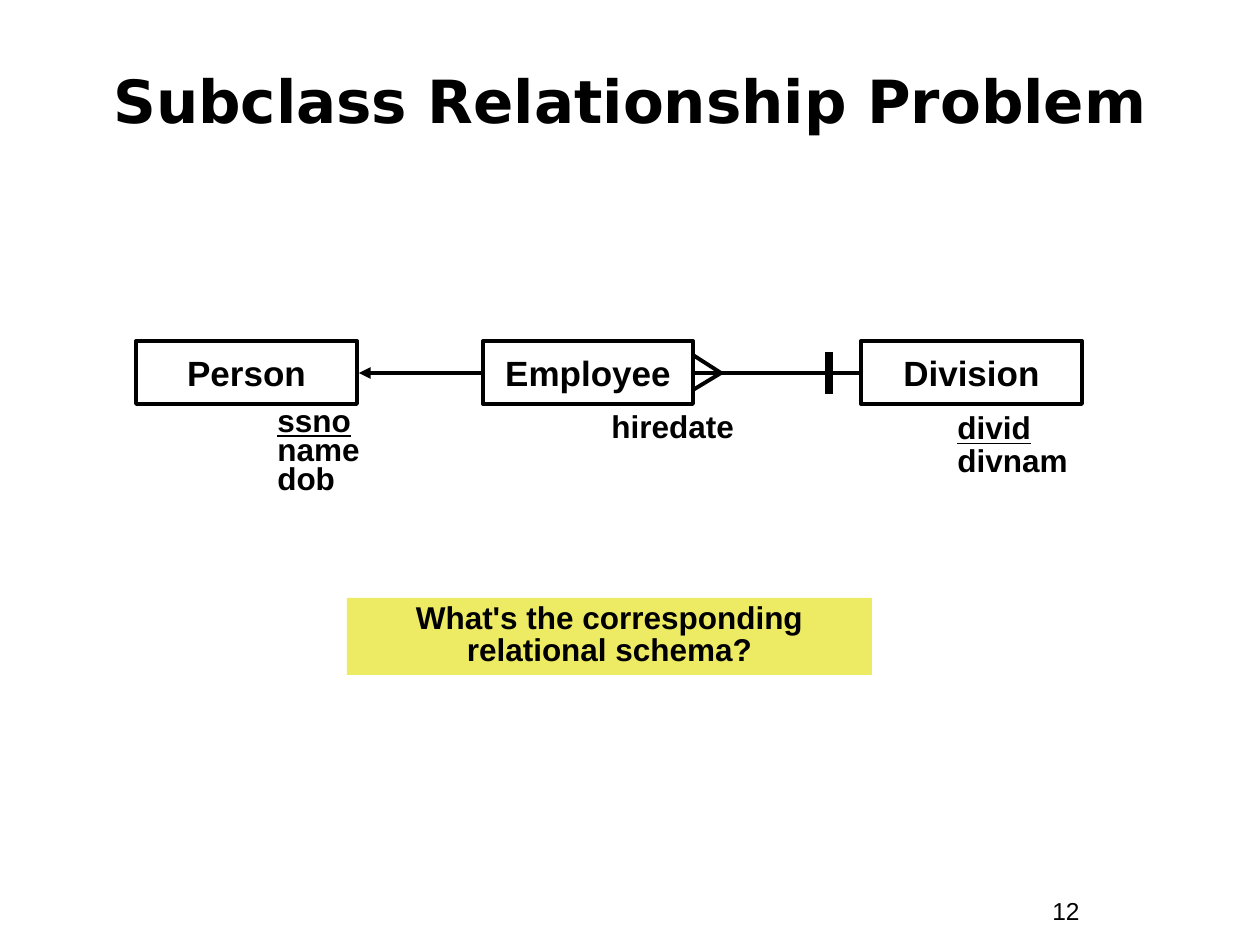
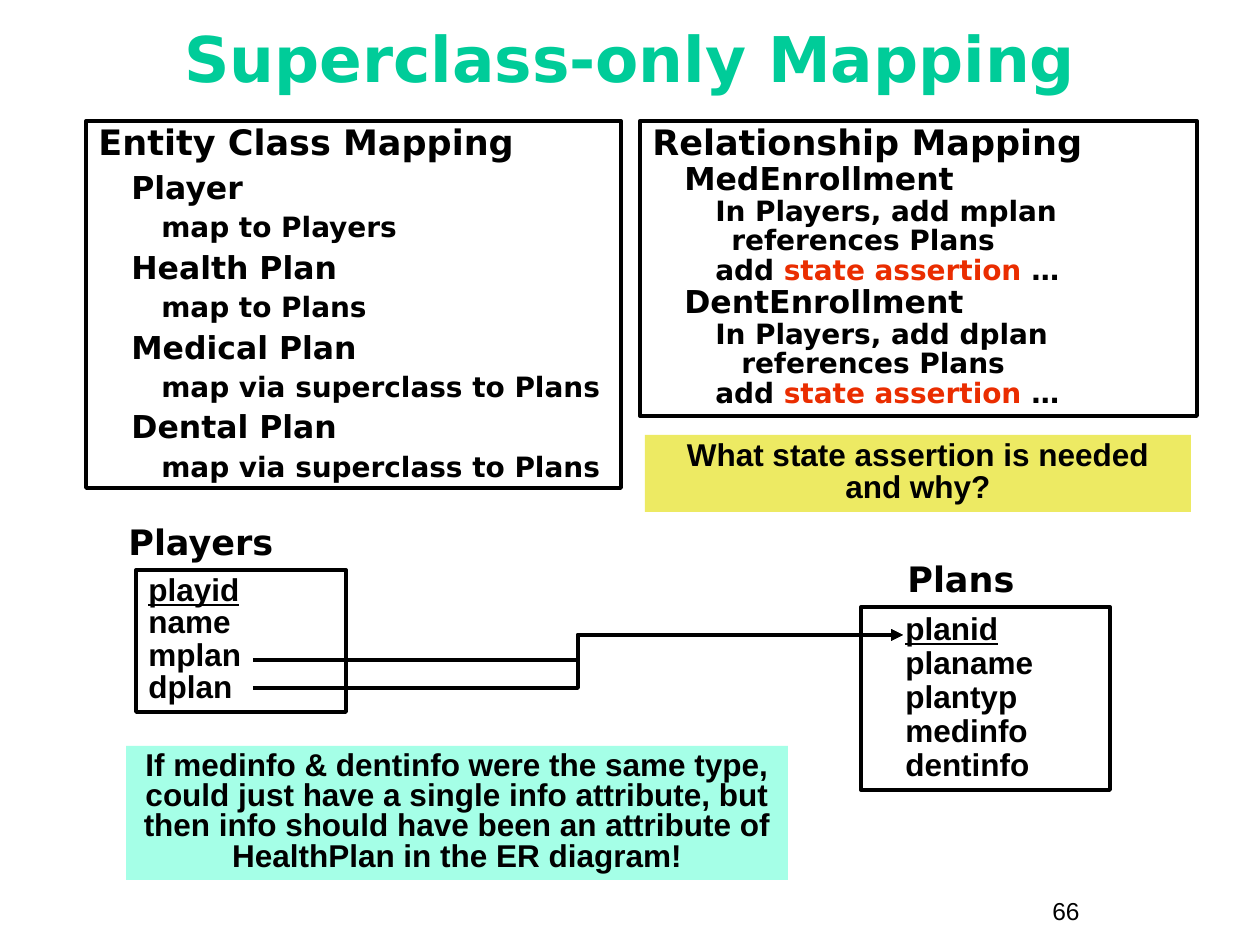
from lxml.etree import SubElement
from pptx import Presentation
from pptx.dml.color import RGBColor
from pptx.enum.shapes import MSO_CONNECTOR, MSO_SHAPE
from pptx.enum.text import MSO_ANCHOR, PP_ALIGN
from pptx.oxml.ns import qn
from pptx.util import Pt

PX = 7257  # EMU per px, 126 px to the inch
BLACK, GREEN, RED = "000000", "00CC99", "EA2D00"
YELLOW, MINT = "EDEA63", "A5FFE7"
SANS, HEADING = "Arial", "DejaVu Sans"
color = RGBColor.from_string


def add_box(slide, place, lines, size=18, font=SANS, ink=BLACK, bold=True, spacing=1.0,
            centered=False, middle=False, fill=None, outlined=False):
    """Add a rectangle with one paragraph per line and return its paragraphs."""
    box = slide.shapes.add_shape(MSO_SHAPE.RECTANGLE, *[n * PX for n in place])
    box.shadow.inherit = False
    if fill:
        box.fill.solid()
        box.fill.fore_color.rgb = color(fill)
    else:
        box.fill.background()
    if outlined:
        box.line.color.rgb = color(BLACK)
        box.line.width = Pt(2.25)
    else:
        box.line.fill.background()
    frame = box.text_frame
    frame.word_wrap = True
    frame.vertical_anchor = MSO_ANCHOR.MIDDLE if middle else MSO_ANCHOR.TOP
    for i, line in enumerate(lines):
        paragraph = frame.add_paragraph() if i else frame.paragraphs[0]
        paragraph.text = line
        paragraph.alignment = PP_ALIGN.CENTER if centered else PP_ALIGN.LEFT
        paragraph.line_spacing = spacing
        paragraph.font.size = Pt(size)
        paragraph.font.name = font
        paragraph.font.bold = bold
        paragraph.font.color.rgb = color(ink)
    return frame.paragraphs


def add_line(slide, ends, width=2.25, arrow=False, kind=MSO_CONNECTOR.STRAIGHT):
    """Add a black connector, with an arrowhead at its end if asked."""
    connector = slide.shapes.add_connector(kind, *[n * PX for n in ends])
    connector.line.color.rgb = color(BLACK)
    connector.line.width = Pt(width)
    if arrow:
        SubElement(connector.line._get_or_add_ln(), qn("a:tailEnd"), type="triangle")
    SubElement(connector._element.spPr, qn("a:effectLst"))


deck = Presentation()
deck.slide_width, deck.slide_height = 1260 * PX, 945 * PX

# Titles and page numbers
slides = []
for title, top, height, size, ink, number in [
    ("Subclass Relationship Problem", 42, 116, 34, BLACK, "12"),
    ("Superclass-only Mapping", 10, 95, 36, GREEN, "66"),
]:
    slide = deck.slides.add_slide(deck.slide_layouts[6])
    add_box(slide, (42, top, 1176, height), [title], size, HEADING, ink,
            centered=True, middle=True)
    add_box(slide, (1040, 890, 116, 43), [number], 14, bold=False)
    slides.append(slide)
problem, mapping = slides

# Entities of the ER diagram
for entity, left, width in [("Person", 136, 221), ("Employee", 483, 210), ("Division", 861, 221)]:
    add_box(problem, (left, 341, width, 63), [entity], 20, centered=True, middle=True,
            outlined=True)

# Attributes, with keys underlined
for place, attributes, spacing, has_key in [
    ((265, 401, 136, 103), ["ssno", "name", "dob"], 0.75, True),
    ((599, 405, 179, 47), ["hiredate"], 0.9, False),
    ((945, 408, 220, 77), ["divid", "divnam"], 0.85, True),
]:
    key = add_box(problem, place, attributes, spacing=spacing)[0]
    if has_key:
        key.line_spacing = max(spacing, 0.85)
        key.font.underline = True

# Subclass arrow, crow's foot relationship and its single-side bar
add_line(problem, (481, 373, 359, 373), arrow=True)
add_line(problem, (695, 373, 859, 373))
for toe in (355, 390):
    add_line(problem, (721, 373, 693, toe))
add_line(problem, (829, 352, 829, 394), width=4.5)

add_box(problem, (347, 598, 525, 77), ["What's the corresponding\vrelational schema?"],
        spacing=0.85, centered=True, fill=YELLOW)

# Mapping outlines: per level the size, left margin, first-line indent and space before
entity_levels = [(20, 0, 0, 0), (18, 33, 0, 9), (16, 63, 0, 8)]
relationship_levels = [(20, 0, 0, 0), (18, 32, 0, 1.1), (16, 79, -16, 1), (16, 89, -26, 1)]
entity_outline = [
    ("Entity Class Mapping", 0),
    ("Player", 1), ("map to Players", 2),
    ("Health Plan", 1), ("map to Plans", 2),
    ("Medical Plan", 1), ("map via superclass to Plans", 2),
    ("Dental Plan", 1), ("map via superclass to Plans", 2),
]
relationship_outline = [
    ("Relationship Mapping", 0),
    ("MedEnrollment", 1), ("In Players, add mplan\vreferences Plans", 2), ("add ", 2),
    ("DentEnrollment", 1), ("In Players, add dplan\vreferences Plans", 3), ("add ", 2),
]
for place, outline, levels, spacing in [
    ((86, 121, 535, 367), entity_outline, entity_levels, 0.7),
    ((640, 121, 557, 295), relationship_outline, relationship_levels, 0.85),
]:
    paragraphs = add_box(mapping, place, [text for text, _ in outline], font=HEADING,
                         spacing=spacing, outlined=True)
    paragraphs[0].line_spacing = 0.85
    for paragraph, (text, level) in zip(paragraphs, outline):
        size, margin, indent, before = levels[level]
        properties = paragraph._p.get_or_add_pPr()
        properties.set("marL", str(margin * PX))
        properties.set("indent", str(indent * PX))
        paragraph.font.size = Pt(size)
        if level:
            paragraph.space_before = Pt(before)
        if text == "add ":
            assertion = paragraph.add_run()
            assertion.text = "state assertion"
            assertion.font.color.rgb = color(RED)
            paragraph.add_run().text = " …"

# Tables of the relational schema
for name, name_place, place, columns, spacing, margin in [
    ("Players", (116, 514, 176, 55), (136, 570, 210, 142),
     ["playid", "name", "mplan", "dplan"], 0.85, 0),
    ("Plans", (895, 551, 176, 55), (861, 607, 249, 183),
     ["planid", "planame", "plantyp", "medinfo", "dentinfo"], 0.9, 32),
]:
    add_box(mapping, name_place, [name], 20, HEADING)
    paragraphs = add_box(mapping, place, columns, spacing=spacing, outlined=True)
    paragraphs[0].font.underline = True
    for paragraph in paragraphs:
        paragraph._p.get_or_add_pPr().set("marL", str(margin * PX))

# Foreign keys mplan and dplan point to planid
for key_y in (660, 688):
    add_line(mapping, (253, key_y, 903, 635), arrow=True, kind=MSO_CONNECTOR.ELBOW)

# Question and remark
add_box(mapping, (645, 435, 546, 77), ["What state assertion is needed and why?"],
        spacing=0.85, centered=True, fill=YELLOW)
add_box(mapping, (126, 746, 662, 134),
        ["If medinfo & dentinfo were the same type, could just have a single info attribute, "
         "but then info should have been an attribute of HealthPlan in the ER diagram!"],
        spacing=0.8, centered=True, fill=MINT)

deck.save("out.pptx")
